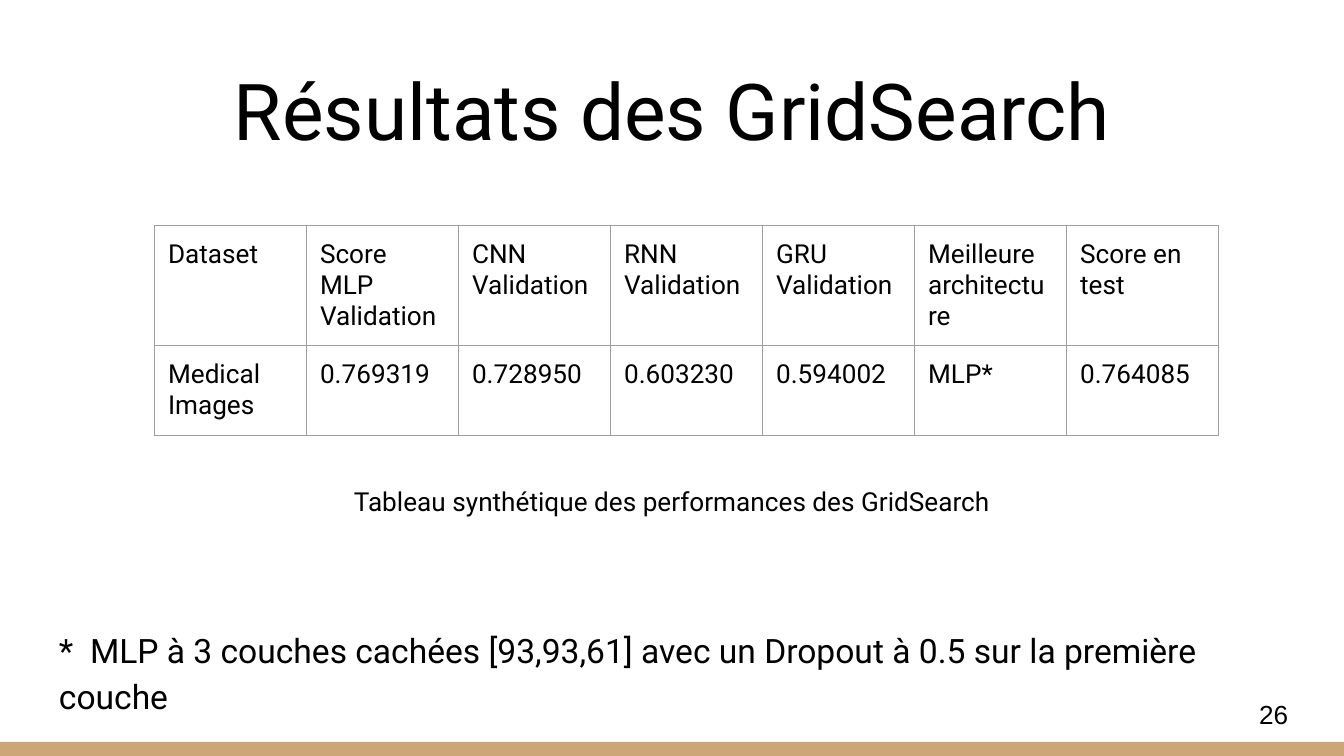
import pptx
import pptx.util
import pptx.dml.color
import pptx.enum.shapes
import pptx.enum.text
import pptx.oxml
import pptx.oxml.ns

Inches = pptx.util.Inches
Pt = pptx.util.Pt
RGBColor = pptx.dml.color.RGBColor
Align = pptx.enum.text.PP_ALIGN
Anchor = pptx.enum.text.MSO_ANCHOR

BLACK = RGBColor(0x00, 0x00, 0x00)
WHITE = RGBColor(0xFF, 0xFF, 0xFF)
TAN = RGBColor(0xCC, 0xA6, 0x77)
GREY = RGBColor(0x9E, 0x9E, 0x9E)

PAGE_WIDTH = 10
PAGE_HEIGHT = PAGE_WIDTH * 9 / 16
PADDING = 0.1
RESULTS = [
    ["Dataset", "Score MLP Validation", "CNN Validation", "RNN Validation",
     "GRU Validation", "Meilleure architecture", "Score en test"],
    ["Medical Images", "0.769319", "0.728950", "0.603230", "0.594002",
     "MLP*", "0.764085"],
]


def write_text(para, text, size=14, font="Roboto", color=BLACK, align=Align.LEFT,
               line_spacing=1.0, space_after=0):
    para.alignment = align
    para.line_spacing = line_spacing
    para.space_before = Pt(0)
    para.space_after = Pt(space_after)
    span = para.add_run()
    span.text = text
    span.font.size = Pt(size)
    span.font.name = font
    span.font.color.rgb = color


def prepare_frame(frame, anchor=Anchor.TOP, top=PADDING):
    frame.word_wrap = True
    frame.auto_size = pptx.enum.text.MSO_AUTO_SIZE.NONE
    frame.vertical_anchor = anchor
    frame.margin_left = frame.margin_right = frame.margin_bottom = Inches(PADDING)
    frame.margin_top = Inches(top)


def add_footer_bar(page, left, top, width, height):
    bar = page.shapes.add_shape(
        pptx.enum.shapes.MSO_SHAPE.RECTANGLE,
        Inches(left), Inches(top), Inches(width), Inches(height))
    bar.shadow.inherit = False
    bar.fill.solid()
    bar.fill.fore_color.rgb = TAN
    bar.line.fill.background()


def place_title(page, left, top, width, height):
    title = page.shapes.title
    title.left, title.top = Inches(left), Inches(top)
    title.width, title.height = Inches(width), Inches(height)
    prepare_frame(title.text_frame, anchor=Anchor.BOTTOM)
    write_text(title.text_frame.paragraphs[0], "Résultats des GridSearch",
               size=42, align=Align.CENTER)


def add_notes_below_table(page, left, top, width, height, offset):
    box = page.shapes.add_textbox(
        Inches(left), Inches(top), Inches(width), Inches(height))
    frame = box.text_frame
    prepare_frame(frame, top=offset)
    write_text(frame.paragraphs[0],
               "Tableau synthétique des performances des GridSearch",
               align=Align.CENTER, line_spacing=1.15, space_after=57)
    write_text(frame.add_paragraph(),
               "*  MLP à 3 couches cachées [93,93,61] avec un Dropout à 0.5 "
               "sur la première couche",
               size=18, line_spacing=1.15, space_after=16)


def add_page_number(page, left, top, width, height):
    box = page.shapes.add_textbox(
        Inches(left), Inches(top), Inches(width), Inches(height))
    prepare_frame(box.text_frame, anchor=Anchor.MIDDLE)
    write_text(box.text_frame.paragraphs[0], "26", font="Arial")


def set_borders(cell, color, width):
    properties = cell._tc.get_or_add_tcPr()
    for edge in ("lnL", "lnR", "lnT", "lnB"):
        properties.append(pptx.oxml.parse_xml(
            f'<a:{edge} {pptx.oxml.ns.nsdecls("a")} w="{Pt(width)}">'
            f'<a:solidFill><a:srgbClr val="{color}"/></a:solidFill></a:{edge}>'))


def add_results_table(page, left, top, width, row_heights):
    columns = len(RESULTS[0])
    holder = page.shapes.add_table(
        len(RESULTS), columns, Inches(left), Inches(top),
        Inches(width), Inches(sum(row_heights)))
    table = holder.table
    table.first_row = table.horz_banding = False
    for column in table.columns:
        column.width = Inches(width / columns)
    for row, height, texts in zip(table.rows, row_heights, RESULTS):
        row.height = Inches(height)
        for cell, text in zip(row.cells, texts):
            cell.margin_left = cell.margin_right = Inches(PADDING)
            cell.margin_top = cell.margin_bottom = Inches(PADDING)
            set_borders(cell, GREY, 0.75)
            cell.fill.background()
            write_text(cell.text_frame.paragraphs[0], text)


def main():
    deck = pptx.Presentation()
    deck.slide_width, deck.slide_height = Inches(PAGE_WIDTH), Inches(PAGE_HEIGHT)
    page = deck.slides.add_slide(deck.slide_layouts.get_by_name("Title Only"))
    page.background.fill.solid()
    page.background.fill.fore_color.rgb = WHITE
    add_footer_bar(page, 0, 5.52, PAGE_WIDTH, PAGE_HEIGHT - 5.52)
    place_title(page, 0.34, 0.35, 9.32, 0.91)
    add_notes_below_table(page, 0.34, 1.34, 9.32, 3.67, offset=2.24)
    add_page_number(page, 9.27, 5.1, 0.6, 0.43)
    add_results_table(page, 1.15, 1.68, 7.92, [0.89, 0.67])
    deck.save("out.pptx")


if __name__ == "__main__":
    main()
